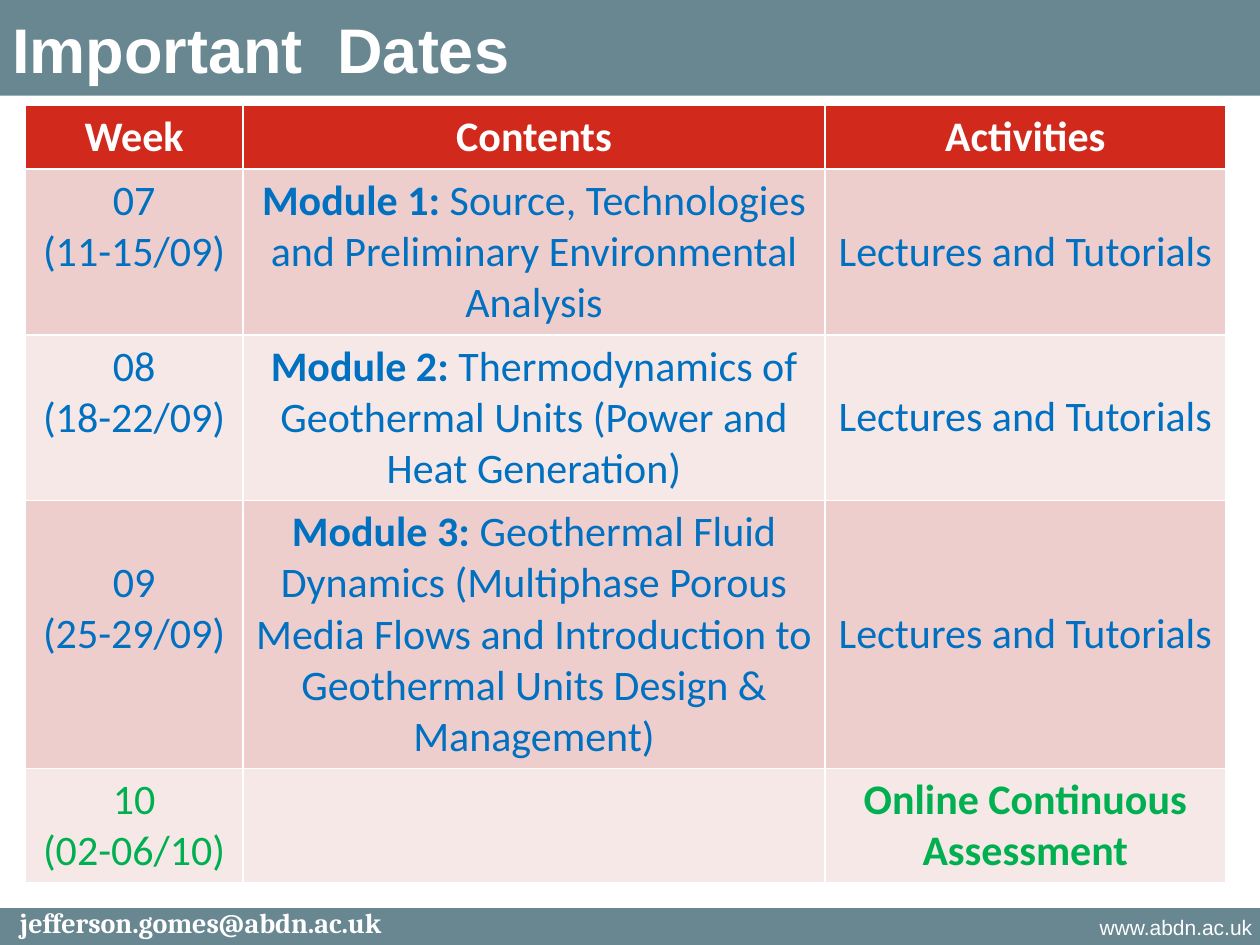
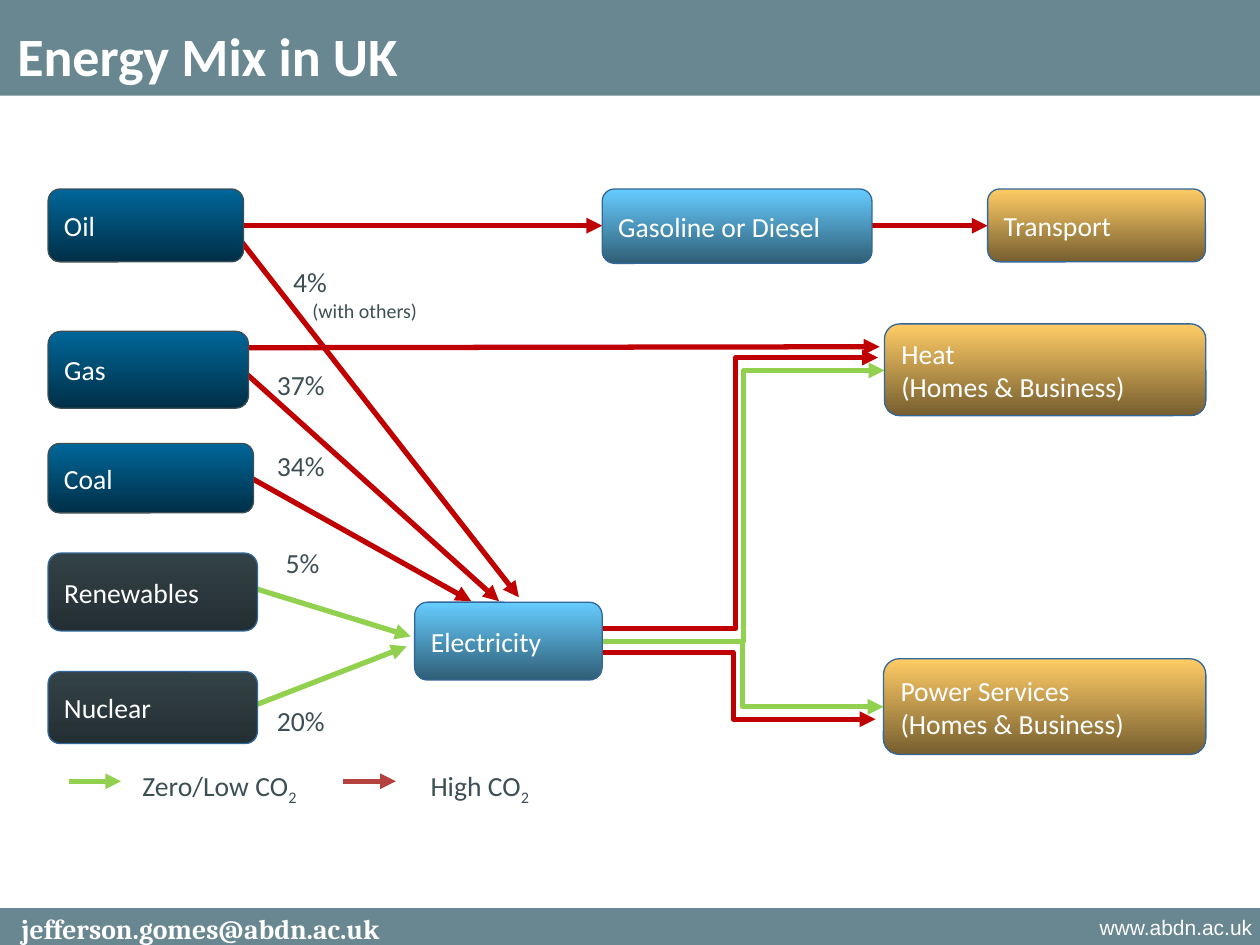
from dataclasses import dataclass, replace

from lxml.etree import SubElement
from pptx import Presentation
from pptx.dml.color import RGBColor
from pptx.enum.shapes import MSO_CONNECTOR, MSO_SHAPE
from pptx.enum.text import MSO_ANCHOR, PP_ALIGN
from pptx.oxml.ns import qn
from pptx.util import Cm, Pt

SLIDE_WIDTH, SLIDE_HEIGHT = 25.4, 19.05
TITLE_BAND_HEIGHT, FOOTER_TOP = 1.93, 18.31
BAND = "688791"
WHITE = "FFFFFF"
SLATE = "3D4F55"
STEEL = "336699"
BLUE = "0070C0"
GREEN = "00B050"
HEADER_RED = "D12A1D"
ROW_TINTS = ["EECDCD", "F7E8E8"]
LOW_CARBON, HIGH_CARBON, LEGEND_RED = "92D050", "C00000", "B4423E"
TABLE_LINE, CELL_PADDING = 1.03, 0.25

FOSSIL = ("006699", "002F47", SLATE)
CLEAN = ("334247", "242F33", STEEL)
CARRIER = ("66CCFF", "2F5E76", STEEL)
USE = ("FFCC66", "765E2F", STEEL)


@dataclass(frozen=True)
class TextStyle:
    """Font settings for a piece of text."""
    font: str
    size: float
    color: str
    bold: bool = False


EMAIL = TextStyle("Cambria", 16, WHITE, True)
WEB = TextStyle("Arial", 12, WHITE)
TABLE_TEXT = TextStyle("Calibri", 24, BLUE)
BOX_TEXT = TextStyle("Calibri", 15.8, WHITE)
LABEL = TextStyle("Calibri", 15.8, SLATE)
SMALL_LABEL = replace(LABEL, size=11.4)

WEEKS = [
    ("07\n(11-15/09)", "Module 1: ",
     "Source, Technologies and Preliminary Environmental Analysis", 3),
    ("08\n(18-22/09)", "Module 2: ",
     "Thermodynamics of Geothermal Units (Power and Heat Generation)", 3),
    ("09\n(25-29/09)", "Module 3: ",
     "Geothermal Fluid Dynamics (Multiphase Porous Media Flows and "
     "Introduction to Geothermal Units Design & Management)", 5),
]

BOXES = [
    ("Oil", 0.97, 3.81, 3.94, 1.47, FOSSIL),
    ("Gas", 0.97, 6.68, 4.04, 1.55, FOSSIL),
    ("Coal", 0.97, 8.94, 4.14, 1.4, FOSSIL),
    ("Renewables", 0.97, 11.15, 4.22, 1.57, CLEAN),
    ("Nuclear", 0.97, 13.54, 4.22, 1.45, CLEAN),
    ("Gasoline or Diesel", 12.14, 3.81, 5.44, 1.5, CARRIER),
    ("Electricity", 8.36, 12.14, 3.78, 1.57, CARRIER),
    ("Transport", 19.91, 3.81, 4.39, 1.47, USE),
    ("Heat\n(Homes & Business)", 17.83, 6.53, 6.48, 1.85, USE),
    ("Power Services\n(Homes & Business)", 17.81, 13.28, 6.5, 1.93, USE),
]

ELBOW_ARROWS = [
    (12.14, 12.93, 17.81, 14.25, LOW_CARBON),
    (12.14, 12.93, 17.83, 7.47, LOW_CARBON),
    (11.91, 13.16, 17.65, 14.5, HIGH_CARBON),
    (11.96, 12.67, 17.7, 7.21, HIGH_CARBON),
]

STRAIGHT_ARROWS = [
    (4.9, 4.55, 12.14, 4.55, HIGH_CARBON),
    (17.58, 4.55, 19.91, 4.55, HIGH_CARBON),
    (4.75, 4.72, 10.46, 12.04, HIGH_CARBON),
    (5, 7.01, 17.73, 6.99, HIGH_CARBON),
    (4.95, 7.52, 10.06, 12.12, HIGH_CARBON),
    (5.05, 9.63, 9.5, 12.12, HIGH_CARBON),
    (5.13, 11.86, 8.28, 12.83, LOW_CARBON),
    (5.18, 14.2, 8.2, 13.03, LOW_CARBON),
    (1.4, 15.75, 2.44, 15.75, LOW_CARBON),
    (6.91, 15.75, 7.98, 15.75, LEGEND_RED),
]

SHARES = [
    ("4%", 5.66, 5.21, 1.19),
    ("37%", 5.33, 7.29, 1.5),
    ("34%", 5.33, 8.92, 1.5),
    ("5%", 5.51, 10.87, 1.19),
    ("20%", 5.33, 14.07, 1.5),
]


def rgb(color):
    """Turn a hex string into a colour."""
    return RGBColor.from_string(color)


def format_run(run, style):
    """Apply a text style to a run."""
    run.font.name = style.font
    run.font.size = Pt(style.size)
    run.font.bold = style.bold
    run.font.color.rgb = rgb(style.color)


def write(text_frame, text, style, align=PP_ALIGN.LEFT):
    """Fill a text frame with one paragraph per line."""
    text_frame.text = text
    for paragraph in text_frame.paragraphs:
        paragraph.alignment = align
        for run in paragraph.runs:
            format_run(run, style)


def add_text(slide, text, left, top, width, height, style, align=PP_ALIGN.LEFT):
    """Add an unwrapped text box and return its text frame."""
    box = slide.shapes.add_textbox(Cm(left), Cm(top), Cm(width), Cm(height))
    box.text_frame.word_wrap = False
    write(box.text_frame, text, style, align)
    return box.text_frame


def add_band(slide, top, height):
    """Add a full-width coloured band."""
    band = slide.shapes.add_shape(
        MSO_SHAPE.RECTANGLE, 0, Cm(top), Cm(SLIDE_WIDTH), Cm(height))
    band.shadow.inherit = False
    band.fill.solid()
    band.fill.fore_color.rgb = rgb(BAND)
    band.line.fill.background()


def add_framed_slide(presentation, email_top, email_style):
    """Add a blank slide with the bands and footer."""
    slide = presentation.slides.add_slide(presentation.slide_layouts[6])
    add_band(slide, FOOTER_TOP, SLIDE_HEIGHT - FOOTER_TOP)
    add_band(slide, 0, TITLE_BAND_HEIGHT)
    add_text(slide, "www.abdn.ac.uk", 18.9, FOOTER_TOP, 6.6, 0.91, WEB, PP_ALIGN.RIGHT)
    email = add_text(slide, "jefferson.gomes@abdn.ac.uk", 0, email_top, 8.1, 0.8,
                     email_style, PP_ALIGN.CENTER)
    email.paragraphs[0].line_spacing = 0.9
    return slide


def add_title(slide, text, left, top, width, height, font, size):
    """Add a bold white title in the top band."""
    frame = add_text(slide, text, left, top, width, height,
                     TextStyle(font, size, WHITE, True))
    frame.vertical_anchor = MSO_ANCHOR.MIDDLE


def fill_cell(cell, text, style, color, anchor=MSO_ANCHOR.TOP):
    """Fill a table cell with centred text on a plain colour."""
    cell.fill.solid()
    cell.fill.fore_color.rgb = rgb(color)
    cell.vertical_anchor = anchor
    write(cell.text_frame, text, style, PP_ALIGN.CENTER)


def add_dates_table(slide):
    """Add the timetable of modules."""
    widths = [4.39, 11.73, 8.08]
    line_counts = [1] + [week[-1] for week in WEEKS] + [2]
    heights = [count * TABLE_LINE + CELL_PADDING for count in line_counts]
    table = slide.shapes.add_table(
        len(heights), len(widths), Cm(0.51), Cm(2.13),
        Cm(sum(widths)), Cm(sum(heights))).table
    table.horz_banding = False
    for column, width in zip(table.columns, widths):
        column.width = Cm(width)
    for row, height in zip(table.rows, heights):
        row.height = Cm(height)

    bold = replace(TABLE_TEXT, bold=True)
    for column, heading in enumerate(["Week", "Contents", "Activities"]):
        fill_cell(table.cell(0, column), heading, replace(bold, color=WHITE), HEADER_RED)
    for row, (dates, module, topic, _) in enumerate(WEEKS, 1):
        tint = ROW_TINTS[(row - 1) % 2]
        fill_cell(table.cell(row, 0), dates, TABLE_TEXT, tint)
        fill_cell(table.cell(row, 1), module, bold, tint)
        run = table.cell(row, 1).text_frame.paragraphs[0].add_run()
        run.text = topic
        format_run(run, TABLE_TEXT)
        fill_cell(table.cell(row, 2), "Lectures and Tutorials", TABLE_TEXT, tint,
                  MSO_ANCHOR.MIDDLE)
    table.cell(3, 0).margin_top = Cm(TABLE_LINE + CELL_PADDING / 2)

    last = len(heights) - 1
    fill_cell(table.cell(last, 0), "10\n(02-06/10)",
              replace(TABLE_TEXT, color=GREEN), ROW_TINTS[1])
    fill_cell(table.cell(last, 1), "", TABLE_TEXT, ROW_TINTS[1])
    fill_cell(table.cell(last, 2), "Online Continuous Assessment",
              replace(bold, color=GREEN), ROW_TINTS[1])


def add_box(slide, text, left, top, width, height, look):
    """Add a rounded box with a vertical gradient."""
    top_color, bottom_color, line_color = look
    box = slide.shapes.add_shape(
        MSO_SHAPE.ROUNDED_RECTANGLE, Cm(left), Cm(top), Cm(width), Cm(height))
    box.shadow.inherit = False
    box.fill.gradient()
    box.fill.gradient_angle = 270
    for stop, color in zip(box.fill.gradient_stops, (top_color, bottom_color)):
        stop.color.rgb = rgb(color)
    box.line.color.rgb = rgb(line_color)
    box.line.width = Pt(0.75)
    box.text_frame.vertical_anchor = MSO_ANCHOR.MIDDLE
    write(box.text_frame, text, BOX_TEXT)


def add_arrow(slide, kind, start_x, start_y, end_x, end_y, color):
    """Add a connector with an arrowhead at its end."""
    arrow = slide.shapes.add_connector(
        kind, Cm(start_x), Cm(start_y), Cm(end_x), Cm(end_y))
    arrow.line.color.rgb = rgb(color)
    arrow.line.width = Pt(3)
    properties = arrow._element.spPr
    SubElement(properties.find(qn("a:ln")), qn("a:tailEnd"), type="triangle")
    SubElement(properties, qn("a:effectLst"))


def add_legend_label(slide, text, left, width):
    """Add a legend entry that ends in CO with a subscript 2."""
    frame = add_text(slide, text, left, 15.37, width, 0.94, LABEL)
    run = frame.paragraphs[0].add_run()
    run.text = "2"
    format_run(run, LABEL)
    run.font._element.set("baseline", "-25000")


def build_dates_slide(presentation):
    """Build the slide of important dates."""
    slide = add_framed_slide(presentation, 18.21, EMAIL)
    add_title(slide, "Important  Dates", 0, 0, 19.3, TITLE_BAND_HEIGHT, "Arial", 36)
    add_dates_table(slide)


def build_energy_slide(presentation):
    """Build the energy flow diagram."""
    slide = add_framed_slide(presentation, 18.34, replace(EMAIL, size=15.8))
    add_title(slide, "Energy Mix in UK", 0.1, 0.33, 8.26, 1.57, "Calibri", 30.8)
    for arrow in ELBOW_ARROWS:
        add_arrow(slide, MSO_CONNECTOR.ELBOW, *arrow)
    for arrow in STRAIGHT_ARROWS:
        add_arrow(slide, MSO_CONNECTOR.STRAIGHT, *arrow)
    for text, left, top, width in SHARES:
        add_text(slide, text, left, top, width, 0.94, LABEL)
    add_text(slide, "(with others)", 6.05, 5.89, 2.67, 0.74, SMALL_LABEL)
    add_legend_label(slide, "Zero/Low CO", 2.62, 3.68)
    add_legend_label(slide, "High CO", 8.43, 2.54)
    for box in BOXES:
        add_box(slide, *box)


def main():
    """Build and save the presentation."""
    presentation = Presentation()
    presentation.slide_width = Cm(SLIDE_WIDTH)
    presentation.slide_height = Cm(SLIDE_HEIGHT)
    build_dates_slide(presentation)
    build_energy_slide(presentation)
    presentation.save("out.pptx")


if __name__ == "__main__":
    main()
